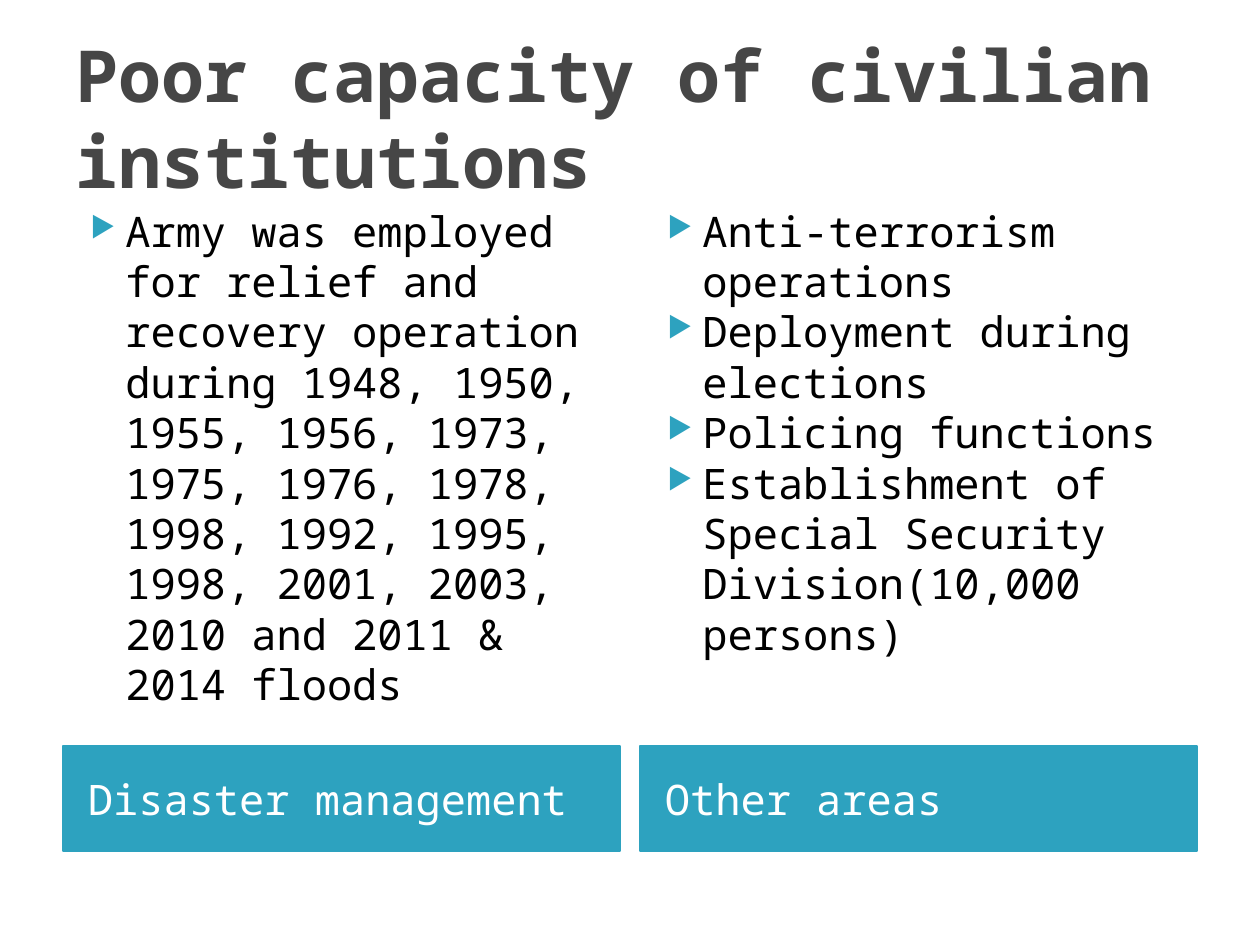
from lxml import etree
from pptx import Presentation
from pptx.dml.color import RGBColor
from pptx.enum.shapes import MSO_SHAPE
from pptx.enum.text import MSO_ANCHOR, PP_ALIGN
from pptx.oxml.ns import qn
from pptx.util import Emu, Pt

RECTANGLE = MSO_SHAPE.RECTANGLE
MIDDLE, TOP = MSO_ANCHOR.MIDDLE, MSO_ANCHOR.TOP
LEFT = PP_ALIGN.LEFT

TEAL = RGBColor(0x2D, 0xA2, 0xBF)
GREY = RGBColor(0x46, 0x46, 0x46)
BLACK = RGBColor(0, 0, 0)
WHITE = RGBColor(0xFF, 0xFF, 0xFF)
FONT = "Noto Sans Mono"

PX_PER_INCH = 126
SLIDE_W, SLIDE_H = 1260, 945
MARGIN = 63
COLUMN_W, COLUMN_GAP = 557, 20
COLUMN_TOP, COLUMN_H = 199, 547 + 105
LABEL_H = 105
LIST_H = 543

HEADLINE = "Poor capacity of civilian institutions"
COLUMNS = [
    ("Disaster management", [
        "Army was employed for relief and recovery operation during 1948, "
        "1950, 1955, 1956, 1973, 1975, 1976, 1978, 1998, 1992, 1995, 1998, "
        "2001, 2003, 2010 and 2011 & 2014 floods",
    ]),
    ("Other areas", [
        "Anti-terrorism operations",
        "Deployment during elections",
        "Policing functions",
        "Establishment of Special Security Division(10,000 persons)",
    ]),
]


def px(length):
    return Emu(round(length * 914400 / PX_PER_INCH))


def write(shape, lines, size, color, anchor, bold=False):
    frame = shape.text_frame
    frame.word_wrap = True
    frame.vertical_anchor = anchor
    frame.text = "\n".join(lines)
    for paragraph in frame.paragraphs:
        paragraph.alignment = LEFT
        font = paragraph.font
        font.name, font.size, font.bold = FONT, Pt(size), bold
        font.color.rgb = color
    return frame


def add_bullet(paragraph):
    properties = paragraph._p.get_or_add_pPr()
    properties.set("marL", str(px(50)))
    properties.set("indent", str(-px(35)))
    bullet = [etree.Element(qn(tag)) for tag in
              ("a:buClr", "a:buSzPct", "a:buChar")]
    etree.SubElement(bullet[0], qn("a:srgbClr")).set("val", str(TEAL))
    bullet[1].set("val", "68000")
    bullet[2].set("char", "▶")
    # Bullet settings come before the default run properties
    for position, element in enumerate(bullet):
        properties.insert(position, element)


def add_headline(slide, left, top, width, height):
    headline = slide.shapes.add_textbox(*map(px, (left, top, width, height)))
    write(headline, [HEADLINE], 41, GREY, MIDDLE, bold=True)


def add_column(slide, left, top, width, height, label, points):
    # Bulleted points
    point_list = slide.shapes.add_textbox(*map(px, (left, top, width, LIST_H)))
    for paragraph in write(point_list, points, 24, BLACK, TOP).paragraphs:
        add_bullet(paragraph)

    # Label bar along the bottom of the column
    bar = slide.shapes.add_shape(
        RECTANGLE, *map(px, (left, top + height - LABEL_H, width, LABEL_H)))
    bar.shadow.inherit = False
    bar.fill.solid()
    bar.fill.fore_color.rgb = TEAL
    bar.line.color.rgb = TEAL
    bar.line.width = Pt(0.75)
    write(bar, [label], 24, WHITE, MIDDLE).margin_left = px(25)


def main():
    deck = Presentation()
    deck.slide_width, deck.slide_height = px(SLIDE_W), px(SLIDE_H)
    slide = deck.slides.add_slide(deck.slide_layouts[6])

    add_headline(slide, MARGIN, 38, SLIDE_W - 2 * MARGIN, 158)
    for index, (label, points) in enumerate(COLUMNS):
        left = MARGIN + index * (COLUMN_W + COLUMN_GAP)
        add_column(slide, left, COLUMN_TOP, COLUMN_W, COLUMN_H, label, points)

    deck.save("out.pptx")


if __name__ == "__main__":
    main()
